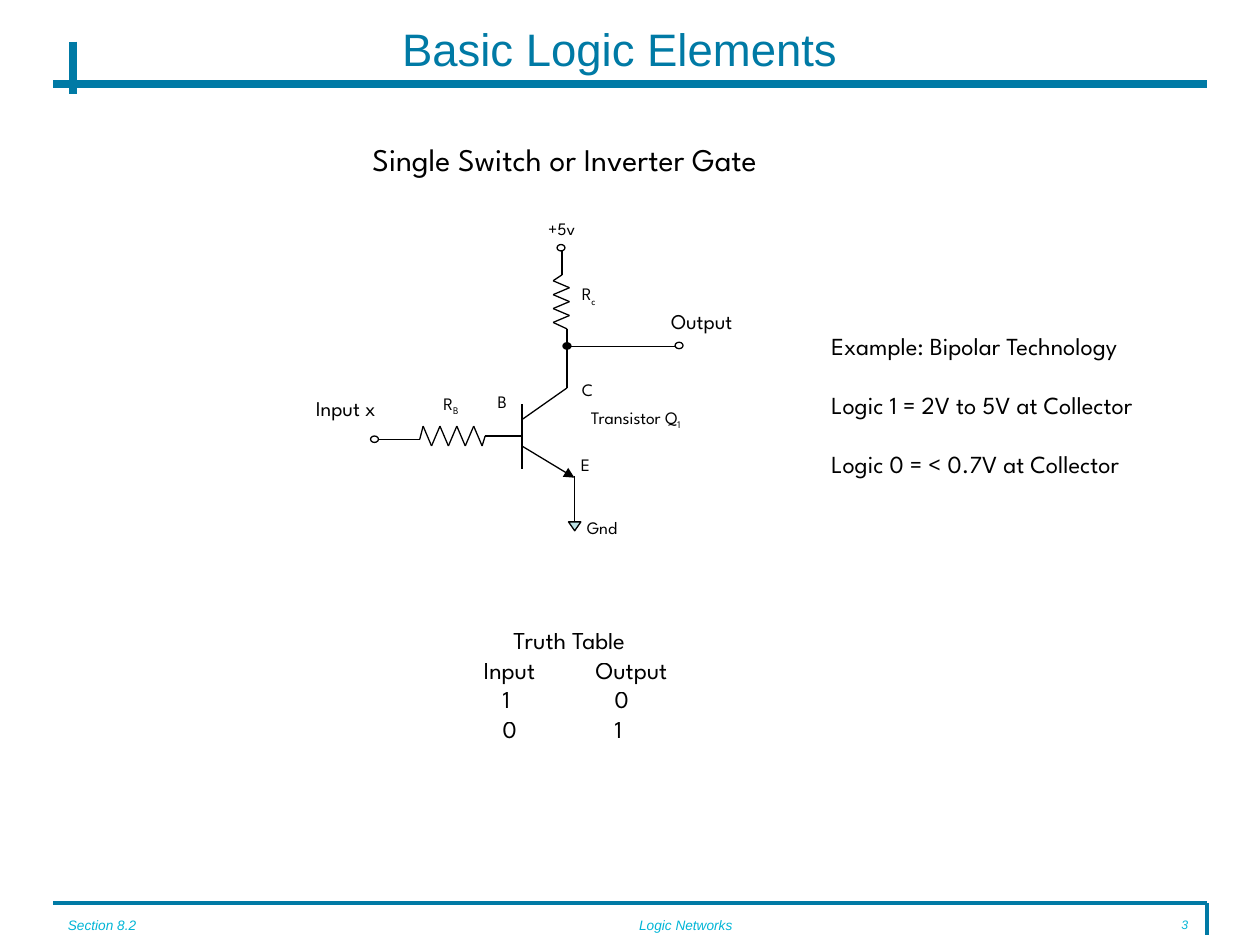
"""Build the slide on the single switch or inverter gate."""
import pptx
import pptx.dml.color
import pptx.enum.shapes
import pptx.enum.text
import pptx.oxml
import pptx.oxml.ns
import pptx.util

Cm, Pt = pptx.util.Cm, pptx.util.Pt
Shape = pptx.enum.shapes.MSO_SHAPE
Align = pptx.enum.text.PP_ALIGN
Anchor = pptx.enum.text.MSO_ANCHOR
Fit = pptx.enum.text.MSO_AUTO_SIZE
NS = pptx.oxml.ns.nsdecls("a")
BLUE, CYAN, BLACK, PALE = "007AA5", "00B5D6", "000000", "BBE0E3"


def paint(color, code):
    color.rgb = pptx.dml.color.RGBColor.from_string(code)


def apply(item, style):
    for key, value in style.items():
        setattr(item, key, value)


class Sketch:
    def __init__(self, slide, face="League Spartan", ink=BLACK, width=0.75):
        self.slide, self.face, self.ink, self.width = slide, face, ink, width

    def label(self, para, words, size, sub="", ink=None, **style):
        for part in filter(None, (words, sub)):
            run = para.add_run()
            run.text = part
            apply(run.font, {"name": self.face, "size": Pt(size), **style})
            paint(run.font.color, ink or self.ink)
        if sub:
            run._r.get_or_add_rPr().set("baseline", "-25000")

    def title(self, words, x, y, w, h):
        head = self.slide.shapes.title
        apply(head, {"left": Cm(x), "top": Cm(y), "width": Cm(w), "height": Cm(h)})
        apply(head.text_frame, {"auto_size": Fit.NONE, "vertical_anchor": Anchor.MIDDLE})
        para = head.text_frame.paragraphs[0]
        para.alignment = Align.CENTER
        self.label(para, words, 26, ink=BLUE, name="Arial")

    def text(self, lines, x, y, w, h, size, sub="", gap=0, wrap=False, form=None, **style):
        box = self.slide.shapes.add_textbox(Cm(x), Cm(y), Cm(w), Cm(h))
        frame = box.text_frame
        frame.word_wrap = wrap
        for num, line in enumerate(lines):
            para = frame.add_paragraph() if num else frame.paragraphs[0]
            para.space_before = Pt(gap if num else 0)
            apply(para, form or {})
            self.label(para, line, size, sub, **style)

    def wire(self, points, ink=None, width=None, arrow=False):
        for start, end in zip(points, points[1:]):
            line = self.slide.shapes.add_connector(
                pptx.enum.shapes.MSO_CONNECTOR.STRAIGHT, *map(Cm, start + end))
            paint(line.line.color, ink or self.ink)
            line.line.width = Pt(width or self.width)
            if arrow:
                line.line._get_or_add_ln().append(
                    pptx.oxml.parse_xml(f'<a:tailEnd {NS} type="triangle"/>'))
            line._element.spPr.append(pptx.oxml.parse_xml(f"<a:effectLst {NS}/>"))

    def shape(self, kind, x, y, w, h, fill=None, turn=0):
        item = self.slide.shapes.add_shape(kind, Cm(x), Cm(y), Cm(w), Cm(h))
        item.shadow.inherit = False
        item.rotation = turn
        if fill:
            item.fill.solid()
            paint(item.fill.fore_color, fill)
        else:
            item.fill.background()
        paint(item.line.color, self.ink)
        item.line.width = Pt(self.width)

    def table(self, rows, x, y, wide, high, size):
        grid = self.slide.shapes.add_table(
            len(rows), len(wide), Cm(x), Cm(y), Cm(sum(wide)), Cm(high * len(rows))).table
        apply(grid, {"first_row": False, "horz_banding": False})
        for col, width in zip(grid.columns, wide):
            col.width = Cm(width)
        for row, (inset, words) in zip(grid.rows, rows):
            row.height = Cm(high)
            cells = list(row.cells)
            for cell in cells:
                cell.fill.background()
                apply(cell, {"margin_left": Cm(inset), "margin_right": 0,
                             "margin_top": 0, "margin_bottom": 0})
            if len(words) == 1:
                cells[0].merge(cells[-1])
            for cell, word in zip(cells, words):
                self.label(cell.text_frame.paragraphs[0], word, size)


def main():
    deck = pptx.Presentation()
    apply(deck, {"slide_width": Cm(25.4), "slide_height": Cm(19.05)})
    art = Sketch(deck.slides.add_slide(deck.slide_layouts[5]))

    art.wire([(1.07, 18.21), (24.33, 18.21), (24.33, 18.85)], BLUE, 2.25)
    art.wire([(1.07, 1.7), (24.33, 1.7)], BLUE, 4.5)
    art.wire([(1.47, 0.84), (1.47, 1.9)], BLUE, 4.5)
    for words, x, w, size, side in (
            ("Section 8.2", 1.12, 4.45, 7.8, Align.LEFT),
            ("Logic Networks", 8.53, 10.59, 7.8, Align.CENTER),
            ("3", 22.3, 1.9, 7, Align.RIGHT)):
        art.text([words], x, 18.42, w, 0.64, size, wrap=True, ink=CYAN, name="Arial",
                 italic=True, form={"alignment": side, "line_spacing": 0.8})
    art.title("Basic Logic Elements", 1.7, 0.43, 21.59, 1.07)

    load = [(11.48 if n % 2 else 11.15, 5.66 + 0.14 * n) for n in range(7)]
    base = [(8.53 + 0.17 * n, 8.99 if n % 2 else 8.59) for n in range(8)]
    art.wire([(11.33, 5.05), (11.33, 5.54), *load, (11.43, 6.63)])
    art.wire([(7.62, 8.86), (8.46, 8.86), *base, (9.78, 8.79), (10.52, 8.79)])
    art.wire([(10.52, 8.15), (10.52, 9.45)])
    art.wire([(10.52, 8.46), (11.43, 7.82), (11.43, 6.63)])
    art.wire([(10.52, 8.99), (11.58, 9.63)], arrow=True)
    art.wire([(11.58, 9.6), (11.58, 10.54)])
    art.wire([(11.51, 6.98), (13.61, 6.98)])
    for x, y, fill in ((11.23, 4.93, None), (11.35, 6.91, BLACK),
                       (13.61, 6.9, None), (7.47, 8.79, None)):
        art.shape(Shape.OVAL, x, y, 0.16, 0.13, fill)
    art.shape(Shape.ISOSCELES_TRIANGLE, 11.46, 10.52, 0.25, 0.18, PALE, 180)

    for words, sub, x, y, w, size in (
            ("C", "", 11.48, 7.52, 0.74, 10), ("E", "", 11.46, 9.02, 0.69, 10),
            ("B", "", 9.78, 7.75, 0.74, 10), ("Transistor Q", "1", 11.66, 8.08, 2.64, 10),
            ("Gnd", "", 11.58, 10.29, 1.19, 10), ("+5v", "", 10.8, 4.27, 1.09, 10),
            ("R", "c", 11.48, 5.59, 0.81, 10), ("R", "B", 8.69, 7.8, 0.86, 10),
            ("Input x", "", 6.12, 7.85, 1.9, 12), ("Output", "", 13.28, 6.1, 1.93, 12)):
        art.text([words], x, y, w, 0.7, size, sub)

    art.text(["Single Switch or Inverter Gate"], 7.26, 2.69, 9.37, 1.02, 18)
    art.table([(0.6, ["Truth Table"]), (0, ["Input", "Output"]),
               (0.38, ["1", "0"]), (0.38, ["0", "1"])], 9.75, 12.75, (2.26, 2.2), 0.59, 14)
    art.text(["Example: Bipolar Technology", "Logic 1 = 2V to 5V at Collector",
              "Logic 0 = < 0.7V at Collector"], 16.51, 6.55, 7.37, 3.81, 14, gap=16.85)
    deck.save("out.pptx")


if __name__ == "__main__":
    main()
